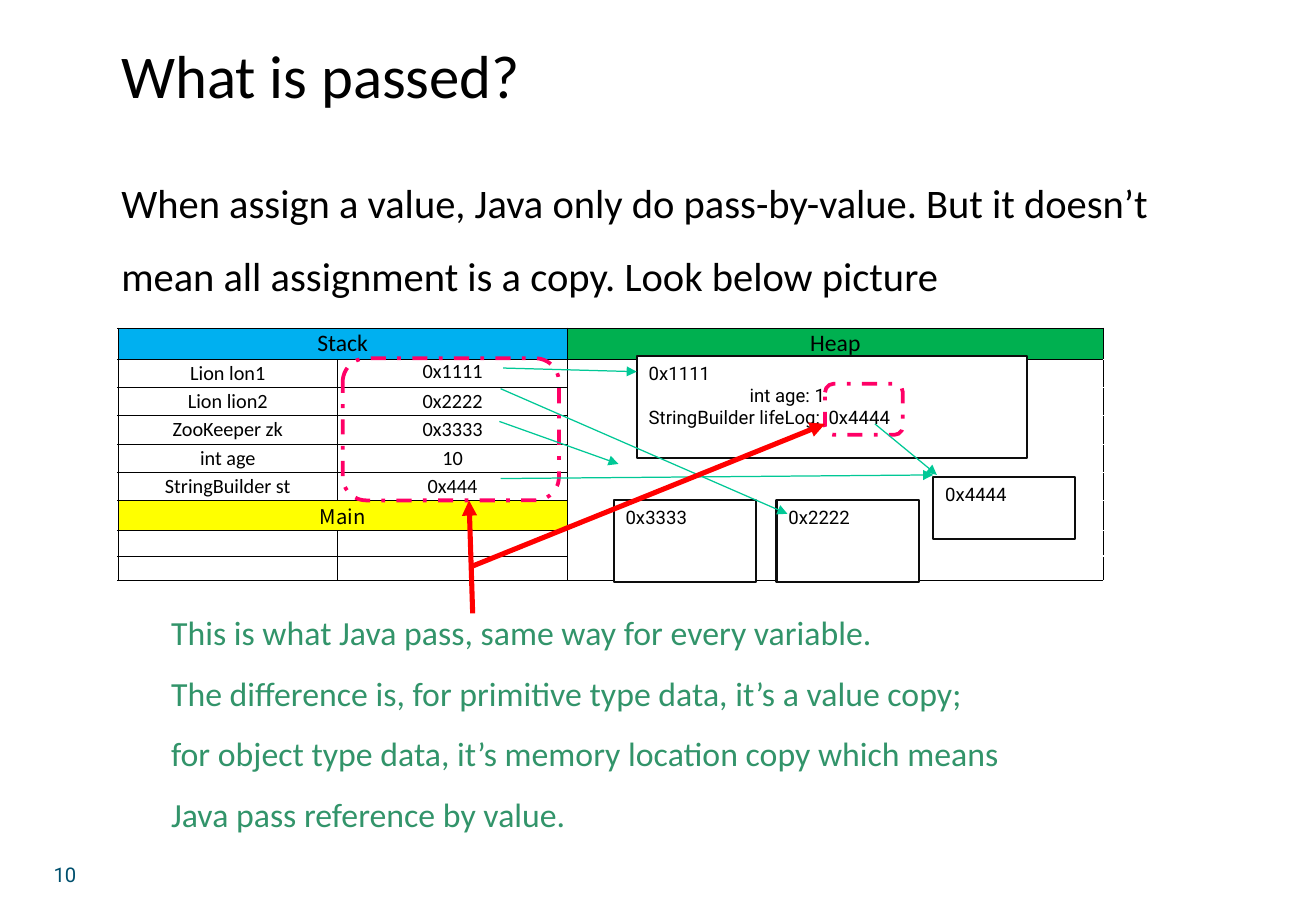
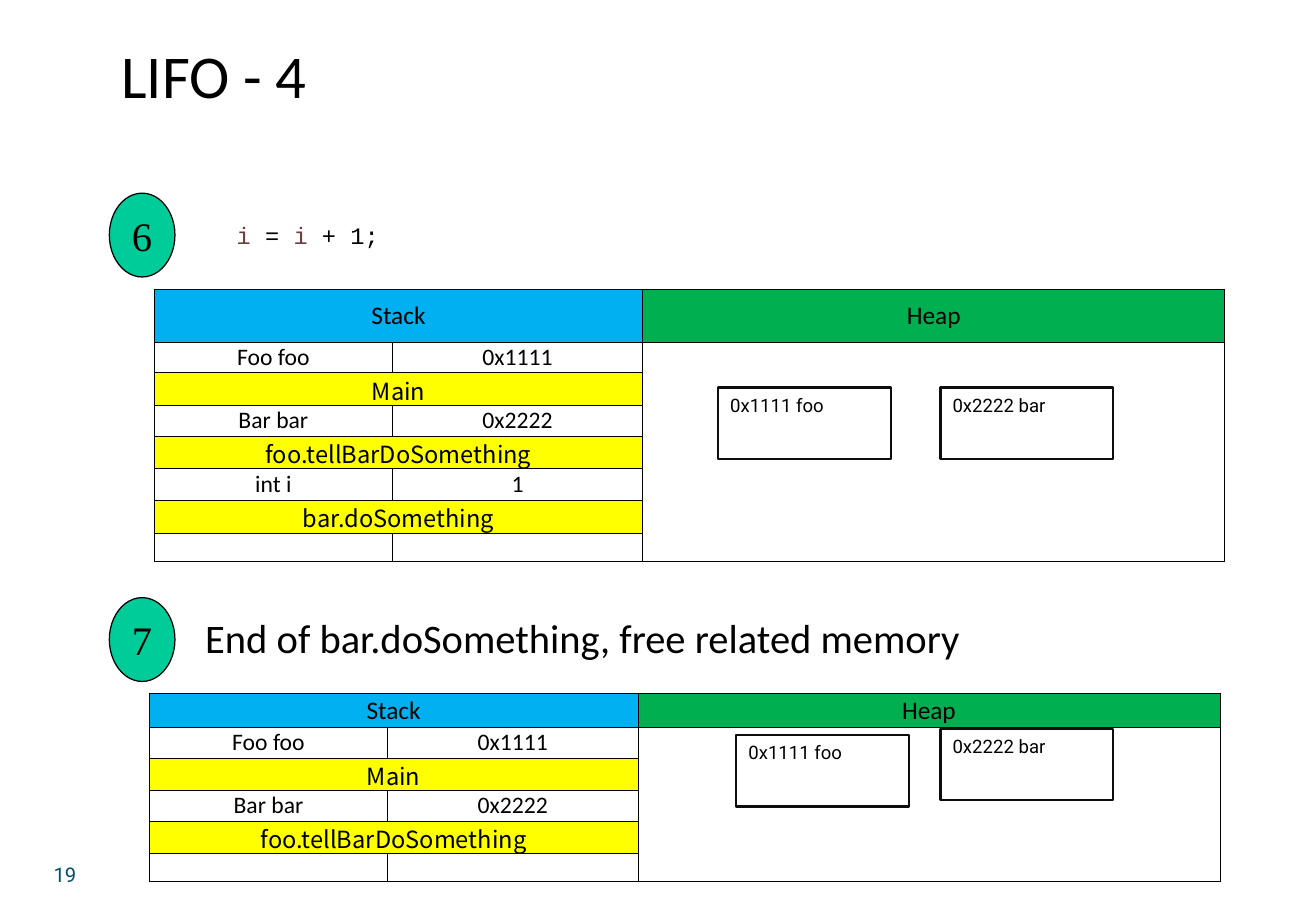
from dataclasses import dataclass

from lxml import etree
from pptx import Presentation
from pptx import util as u
from pptx.dml import color as c
from pptx.enum import dml, shapes, text
from pptx.oxml import ns

PX = u.Inches(1) // 100


@dataclass(frozen=True)
class Theme:
    black: str = "000000"
    white: str = "FFFFFF"
    outline: str = "0D0D0D"
    footer: str = "00506E"
    note: str = "32946A"
    variable: str = "6A3E3E"
    stack: str = "00B0F0"
    heap: str = "00B050"
    frame: str = "FFFF00"
    badge: str = "00CC99"
    pointer: str = "00C896"
    highlight: str = "FF0066"
    emphasis: str = "FF0000"
    body_font: str = "Calibri"
    label_font: str = "Roboto"
    frame_font: str = "Noto Sans CJK TC"
    code_font: str = "Courier New"
    badge_font: str = "Times New Roman"
    title_size: int = 36
    body_size: int = 24
    note_size: int = 20
    code_size: int = 14
    footer_size: int = 12
    label_size: int = 11
    empty_size: int = 8


theme = Theme()
LEFT, CENTER = text.PP_ALIGN.LEFT, text.PP_ALIGN.CENTER
TOP, MIDDLE = text.MSO_ANCHOR.TOP, text.MSO_ANCHOR.MIDDLE


def px(*lengths):
    return [u.Emu(length * PX) for length in lengths]


def write(frame, lines, size, font, color=theme.black, align=LEFT, spacing=None, tabs=()):
    frame.word_wrap = True
    for index, line in enumerate(lines):
        paragraph = frame.add_paragraph() if index else frame.paragraphs[0]
        paragraph.alignment = align
        if spacing:
            paragraph.line_spacing = spacing
        if tabs:
            stops = etree.SubElement(paragraph._p.get_or_add_pPr(), ns.qn("a:tabLst"))
            for stop in px(*tabs):
                etree.SubElement(stops, ns.qn("a:tab"), pos=str(stop), algn="l")
        for words, run_color in [(line, color)] if isinstance(line, str) else line:
            run = paragraph.add_run()
            run.text = words
            run.font.size = u.Pt(size)
            run.font.name = font
            run.font.color.rgb = c.RGBColor.from_string(run_color)


presentation = Presentation()
presentation.slide_width, presentation.slide_height = px(1083, 750)
blank = presentation.slide_layouts[6]

code = [("i", theme.variable), (" = ", theme.black), ("i", theme.variable), (" + 1;", theme.black)]
body_style = dict(size=theme.body_size, font=theme.body_font)

pages = [
    dict(
        number="10",
        title="What is passed?",
        texts=[
            ((90, 122, 942, 252),
             ["When assign a value, Java only do pass-by-value. But it doesn’t mean all assignment "
              "is a copy. Look below picture"],
             dict(body_style, spacing=1.5)),
            ((131, 482, 743, 212),
             ["This is what Java pass, same way for every variable.",
              "The difference is, for primitive type data, it’s a value copy;",
              "for object type data, it’s memory location copy which means Java pass reference by value."],
             dict(size=theme.note_size, font=theme.body_font, color=theme.note, spacing=1.5)),
        ],
        badges=[],
        tables=[
            dict(left=62, top=270, first=1, columns=[35, 181, 189, 441, 35],
                 header_size=14, size=12, first_anchor=TOP,
                 heights=[26, 23, 23, 24, 23, 23, 25, 21, 20],
                 rows=[("Lion lon1", "0x1111"), ("Lion lion2", "0x2222"), ("ZooKeeper zk", "0x3333"),
                       ("int age", "10"), ("StringBuilder st", "0x444"), ("Main",), ("", ""), ("", "")]),
        ],
        boxes=[
            ((524, 293, 321, 84), ["0x1111", "\tint age: 1", "StringBuilder lifeLog:\t0x4444"]),
            ((639, 412, 117, 67), ["0x2222"]),
            ((505, 412, 117, 67), ["0x3333"]),
            ((768, 393, 117, 51), ["0x4444"]),
        ],
        highlights=[(282, 295, 178, 117), (679, 316, 64, 42)],
        arrows=[
            (theme.pointer, 0.75, [(414, 303, 524, 306), (412, 320, 648, 423), (411, 347, 509, 382),
                                   (720, 349, 771, 391), (412, 394, 768, 391)]),
            (theme.emphasis, 3, [(389, 505, 386, 412), (389, 466, 679, 349)]),
        ],
    ),
    dict(
        number="19",
        title="LIFO - 4",
        texts=[
            ((185, 177, 364, 34), [code], dict(size=theme.code_size, font=theme.code_font)),
            ((159, 500, 731, 50), ["End of bar.doSomething, free related memory"], body_style),
        ],
        badges=[("6", 159), ("7", 492)],
        tables=[
            dict(left=127, top=238, first=0, columns=[196, 206, 479],
                 header_size=15, size=14, first_anchor=MIDDLE,
                 heights=[44, 25, 27, 25, 27, 26, 27, 23],
                 rows=[("Foo foo", "0x1111"), ("Main",), ("Bar bar", "0x2222"),
                       ("foo.tellBarDoSomething",), ("int i", "1"), ("bar.doSomething",), ("", "")]),
            dict(left=123, top=571, first=0, columns=[196, 206, 479],
                 header_size=15, size=14, first_anchor=MIDDLE,
                 heights=[28, 25, 27, 25, 27, 23],
                 rows=[("Foo foo", "0x1111"), ("Main",), ("Bar bar", "0x2222"),
                       ("foo.tellBarDoSomething",), ("", "")]),
        ],
        boxes=[
            ((591, 319, 142, 59), ["0x1111 foo"]),
            ((774, 319, 142, 59), ["0x2222 bar"]),
            ((606, 605, 142, 59), ["0x1111 foo"]),
            ((774, 600, 142, 59), ["0x2222 bar"]),
        ],
        highlights=[],
        arrows=[],
    ),
]

for page in pages:
    slide = presentation.slides.add_slide(blank)
    footer = ((23, 705, 61, 23), [page["number"]],
              dict(size=theme.footer_size, font=theme.label_font, color=theme.footer, align=CENTER))
    title = ((90, 26, 893, 71), [page["title"]], dict(size=theme.title_size, font=theme.body_font))
    for place, lines, style in [footer, title, *page["texts"]]:
        write(slide.shapes.add_textbox(*px(*place)).text_frame, lines, **style)

    for number, top in page["badges"]:
        shape = slide.shapes.add_shape(shapes.MSO_SHAPE.OVAL, *px(90, top, 54, 69))
        shape.shadow.inherit = False
        shape.fill.solid()
        shape.fill.fore_color.rgb = c.RGBColor.from_string(theme.badge)
        shape.line.color.rgb = c.RGBColor.from_string(theme.black)
        shape.line.width = u.Pt(0.75)
        frame = shape.text_frame
        frame.margin_left = frame.margin_right = 0
        frame.vertical_anchor = MIDDLE
        write(frame, [number], theme.body_size, theme.badge_font, align=CENTER)

    for memory in page["tables"]:
        heights, columns, first = memory["heights"], memory["columns"], memory["first"]
        heap = first + 2
        place = px(memory["left"], memory["top"], sum(columns), sum(heights))
        table = slide.shapes.add_table(len(heights), len(columns), *place).table
        table.first_row = table.horz_banding = False
        for column, width in zip(table.columns, px(*columns)):
            column.width = width
        for row, height in zip(table.rows, px(*heights)):
            row.height = height

        table.cell(0, first).merge(table.cell(0, first + 1))
        table.cell(1, heap).merge(table.cell(len(heights) - 1, heap))
        contents = {(0, first): ("Stack", theme.stack), (0, heap): ("Heap", theme.heap)}
        for row, values in enumerate(memory["rows"], 1):
            if len(values) == 1:
                table.cell(row, first).merge(table.cell(row, first + 1))
            for column, value in enumerate(values, first):
                contents[row, column] = (value, theme.frame if len(values) == 1 else None)

        for row in range(len(heights)):
            for column in range(len(columns)):
                cell = table.cell(row, column)
                cell.margin_left = cell.margin_right = cell.margin_top = cell.margin_bottom = 0
                cell.vertical_anchor = MIDDLE
                properties = cell._tc.get_or_add_tcPr()
                sides = {-1: ["lnR"], 3: ["lnL"]}.get(column - first, ["lnL", "lnR", "lnT", "lnB"])
                for side in sides:
                    border = etree.SubElement(properties, ns.qn(f"a:{side}"), w=str(u.Pt(0.5)))
                    solid = etree.SubElement(border, ns.qn("a:solidFill"))
                    etree.SubElement(solid, ns.qn("a:srgbClr"), val=theme.black)
                value, fill = contents.get((row, column), ("", None))
                if fill:
                    cell.fill.solid()
                    cell.fill.fore_color.rgb = c.RGBColor.from_string(fill)
                else:
                    cell.fill.background()
                if value:
                    size = memory["size"] if row else memory["header_size"]
                    font = theme.frame_font if fill == theme.frame else theme.body_font
                    write(cell.text_frame, [value], size, font, align=CENTER)
                else:
                    paragraph = cell.text_frame.paragraphs[0]
                    etree.SubElement(paragraph._p, ns.qn("a:endParaRPr"), sz=str(theme.empty_size * 100))
        table.cell(1, first + 1).vertical_anchor = memory["first_anchor"]
        # noqa
        for column in () if first == 0 else (0, len(columns) - 1):
            table.columns[column].width = px(columns[column])[0]

    for place, lines in page["boxes"]:
        shape = slide.shapes.add_shape(shapes.MSO_SHAPE.RECTANGLE, *px(*place))
        shape.shadow.inherit = False
        shape.fill.solid()
        shape.fill.fore_color.rgb = c.RGBColor.from_string(theme.white)
        shape.line.color.rgb = c.RGBColor.from_string(theme.outline)
        shape.line.width = u.Pt(1.25)
        shape.text_frame.vertical_anchor = TOP
        tabs = (83, 148) if len(lines) > 1 else ()
        write(shape.text_frame, lines, theme.label_size, theme.label_font, tabs=tabs)

    for place in page["highlights"]:
        shape = slide.shapes.add_shape(shapes.MSO_SHAPE.ROUNDED_RECTANGLE, *px(*place))
        shape.shadow.inherit = False
        shape.fill.background()
        shape.line.color.rgb = c.RGBColor.from_string(theme.highlight)
        shape.line.width = u.Pt(2.25)
        shape.line.dash_style = dml.MSO_LINE.DASH_DOT

    for color, width, ends in page["arrows"]:
        for points in ends:
            arrow = slide.shapes.add_connector(shapes.MSO_CONNECTOR.STRAIGHT, *px(*points))
            arrow.line.color.rgb = c.RGBColor.from_string(color)
            arrow.line.width = u.Pt(width)
            etree.SubElement(arrow.line._get_or_add_ln(), ns.qn("a:tailEnd"), type="triangle")
            etree.SubElement(arrow._element.spPr, ns.qn("a:effectLst"))

presentation.save("out.pptx")
